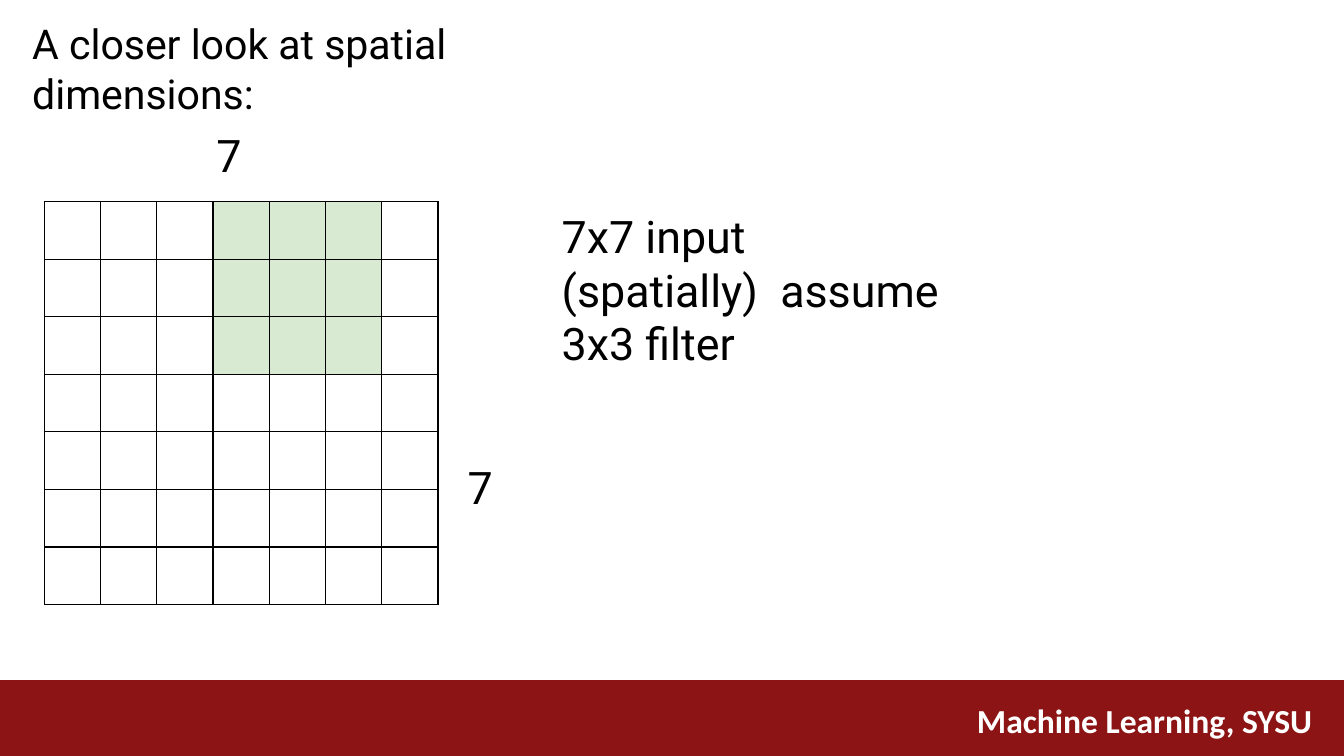
from lxml.etree import SubElement
from pptx import Presentation
from pptx.dml.color import RGBColor
from pptx.enum.shapes import MSO_SHAPE
from pptx.enum.text import MSO_ANCHOR
from pptx.oxml.ns import qn
from pptx.util import Inches, Pt

SLIDE_WIDTH = 10
SLIDE_HEIGHT = SLIDE_WIDTH * 9 / 16
GRID = 7
FILTER_ROWS = range(0, 3)
FILTER_COLS = range(3, 6)
INSETS = dict(margin_left=0, margin_top=Inches(0.01), margin_right=0,
              margin_bottom=0, word_wrap=True, vertical_anchor=MSO_ANCHOR.TOP)
BODY_FONT = dict(name="Roboto", size=Pt(24), bold=False)
TITLE_FONT = dict(BODY_FONT, size=Pt(22))
FOOTER_FONT = dict(name="Calibri", size=Pt(18), bold=True)


def color(hex_value):
    return RGBColor.from_string(hex_value)


def apply(obj, values):
    for name, value in values.items():
        setattr(obj, name, value)


def place(sp, left, top, width, height):
    apply(sp, dict(left=Inches(left), top=Inches(top),
                   width=Inches(width), height=Inches(height)))


def add_text(p, text, font, hex_value="000000", indent=0, **spacing):
    r = p.add_run()
    r.text = text
    apply(r.font, font)
    r.font.color.rgb = color(hex_value)
    apply(p, spacing)
    pPr = p._p.get_or_add_pPr()
    pPr.set("marL", str(Inches(indent)))
    pPr.set("indent", "0")
    pPr.set("algn", "l")


def add_box(s, left, top, width, height, frame=INSETS):
    tf = s.shapes.add_textbox(*map(Inches, (left, top, width, height))).text_frame
    apply(tf, frame)
    return tf


def add_footer(s, top=5.06):
    sp = s.shapes.add_shape(MSO_SHAPE.RECTANGLE, 0, Inches(top), Inches(SLIDE_WIDTH),
                            Inches(SLIDE_HEIGHT - top))
    sp.shadow.inherit = False
    sp.fill.solid()
    sp.fill.fore_color.rgb = color("8C1414")
    sp.line.fill.background()
    tf = add_box(s, 7.17, 5.16, 2.75, 0.4, dict(word_wrap=True))
    add_text(tf.paragraphs[0], "Machine Learning, SYSU", FOOTER_FONT, "FFFFFF")


def add_borders(cell, hex_value="000000", width=0.75):
    tcPr = cell._tc.get_or_add_tcPr()
    for i, side in enumerate(("lnL", "lnR", "lnT", "lnB")):
        ln = SubElement(tcPr, qn(f"a:{side}"), w=str(Pt(width)))
        fill = SubElement(ln, qn("a:solidFill"))
        SubElement(fill, qn("a:srgbClr"), val=hex_value)
        # Border lines come before the fill in cell properties
        tcPr.insert(i, ln)


def add_grid(s, left, top, width, height):
    table = s.shapes.add_table(GRID, GRID, *map(Inches, (left, top, width, height))).table
    apply(table, dict(first_row=False, horz_banding=False))
    for row in range(GRID):
        for col in range(GRID):
            cell = table.cell(row, col)
            if row in FILTER_ROWS and col in FILTER_COLS:
                cell.fill.solid()
                cell.fill.fore_color.rgb = color("D9EAD3")
            else:
                cell.fill.background()
            add_borders(cell)


def main():
    prs = Presentation()
    apply(prs, dict(slide_width=Inches(SLIDE_WIDTH), slide_height=Inches(SLIDE_HEIGHT)))
    s = prs.slides.add_slide(prs.slide_layouts[5])
    add_footer(s)

    # Title
    title = s.shapes.title
    place(title, 0.23, 0.13, 4.8, 0.39)
    # The right inset keeps the last word on a second line
    apply(title.text_frame, dict(INSETS, margin_right=Inches(0.2)))
    add_text(title.text_frame.paragraphs[0], "A closer look at spatial dimensions:",
             TITLE_FONT, indent=0.01, space_before=Pt(1))

    # Description, with the grid height below it
    tf = add_box(s, 3.47, 1.53, 3.6, 1.88, dict(INSETS, margin_top=Inches(0.03)))
    add_text(tf.paragraphs[0], "7x7 input (spatially)  assume 3x3 filter", BODY_FONT,
             indent=0.71, line_spacing=Pt(28.5), space_before=Pt(2.2))
    add_text(tf.add_paragraph(), "7", BODY_FONT, indent=0.01, space_before=Pt(48.5))

    # Grid width
    tf = add_box(s, 1.6, 0.94, 0.21, 0.43)
    add_text(tf.paragraphs[0], "7", BODY_FONT, indent=0.01, space_before=Pt(1))

    # Input grid with the filter window
    add_grid(s, 0.33, 1.5, 2.93, 3)
    prs.save("out.pptx")


if __name__ == "__main__":
    main()
